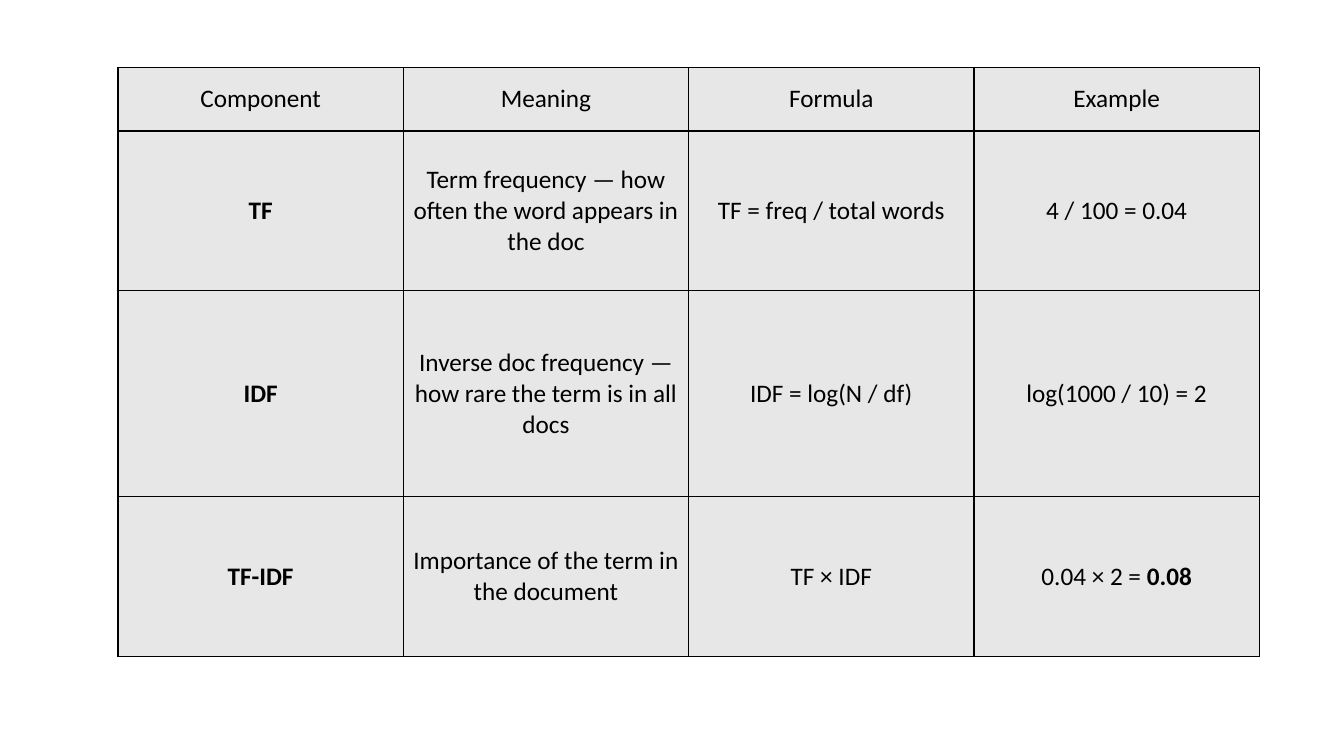
from dataclasses import dataclass

from lxml import etree
from pptx import Presentation
from pptx import util as u
from pptx.dml import color
from pptx.enum import text
from pptx.oxml import ns
from pptx.table import _Cell

SLIDE_WIDTH, SLIDE_HEIGHT = 13.33, 7.5
TABLE_LEFT, TABLE_TOP = 1.17, 0.67
COLUMN_WIDTH = 2.83
INK, CELL_FILL = "000000", "E7E7E7"


@dataclass(frozen=True)
class Run:
    words: str
    bold: bool = False


@dataclass(frozen=True)
class Row:
    height: float
    cells: tuple[tuple[Run, ...], ...]


def component_row(height: float, component: str, meaning: str, formula: str,
                  *example: Run) -> Row:
    return Row(height, ((Run(component, True),), (Run(meaning),), (Run(formula),), example))


ROWS = (
    Row(0.63, tuple((Run(title),) for title in ("Component", "Meaning", "Formula", "Example"))),
    component_row(1.58, "TF", "Term frequency — how often the word appears in the doc",
                  "TF = freq / total words", Run("4 / 100 = 0.04")),
    component_row(2.05, "IDF", "Inverse doc frequency — how rare the term is in all docs",
                  "IDF = log(N / df)", Run("log(1000 / 10) = 2")),
    component_row(1.58, "TF-IDF", "Importance of the term in the document",
                  "TF × IDF", Run("0.04 × 2 = "), Run("0.08", True)),
)


def rgb(value: str) -> color.RGBColor:
    return color.RGBColor.from_string(value)


def add_borders(cell: _Cell) -> None:
    properties = cell._tc.get_or_add_tcPr()
    for side in ("lnL", "lnR", "lnT", "lnB"):
        line = etree.SubElement(properties, ns.qn(f"a:{side}"), w=str(u.Pt(1)))
        fill = etree.SubElement(line, ns.qn("a:solidFill"))
        etree.SubElement(fill, ns.qn("a:srgbClr"), val=INK)


def fill_cell(cell: _Cell, runs: tuple[Run, ...]) -> None:
    add_borders(cell)
    cell.fill.solid()
    cell.fill.fore_color.rgb = rgb(CELL_FILL)
    cell.vertical_anchor = text.MSO_ANCHOR.MIDDLE
    cell.margin_left = cell.margin_right = u.Inches(0.07)
    cell.margin_top = cell.margin_bottom = u.Inches(0.04)
    paragraph = cell.text_frame.paragraphs[0]
    paragraph.alignment = text.PP_ALIGN.CENTER
    for item in runs:
        run = paragraph.add_run()
        run.text = item.words
        run.font.name = "Calibri"
        run.font.size = u.Pt(18)
        run.font.bold = item.bold
        run.font.color.rgb = rgb(INK)


def main() -> None:
    presentation = Presentation()
    presentation.slide_width = u.Inches(SLIDE_WIDTH)
    presentation.slide_height = u.Inches(SLIDE_HEIGHT)
    slide = presentation.slides.add_slide(presentation.slide_layouts[6])

    # Table frame with equal columns
    column_count = len(ROWS[0].cells)
    table = slide.shapes.add_table(
        len(ROWS), column_count, u.Inches(TABLE_LEFT), u.Inches(TABLE_TOP),
        u.Inches(COLUMN_WIDTH * column_count), u.Inches(sum(row.height for row in ROWS)),
    ).table
    table.first_row = table.horz_banding = False
    for column in table.columns:
        column.width = u.Inches(COLUMN_WIDTH)

    # Cell contents
    for row_index, row in enumerate(ROWS):
        table.rows[row_index].height = u.Inches(row.height)
        for column_index, runs in enumerate(row.cells):
            fill_cell(table.cell(row_index, column_index), runs)

    presentation.save("out.pptx")


if __name__ == "__main__":
    main()
